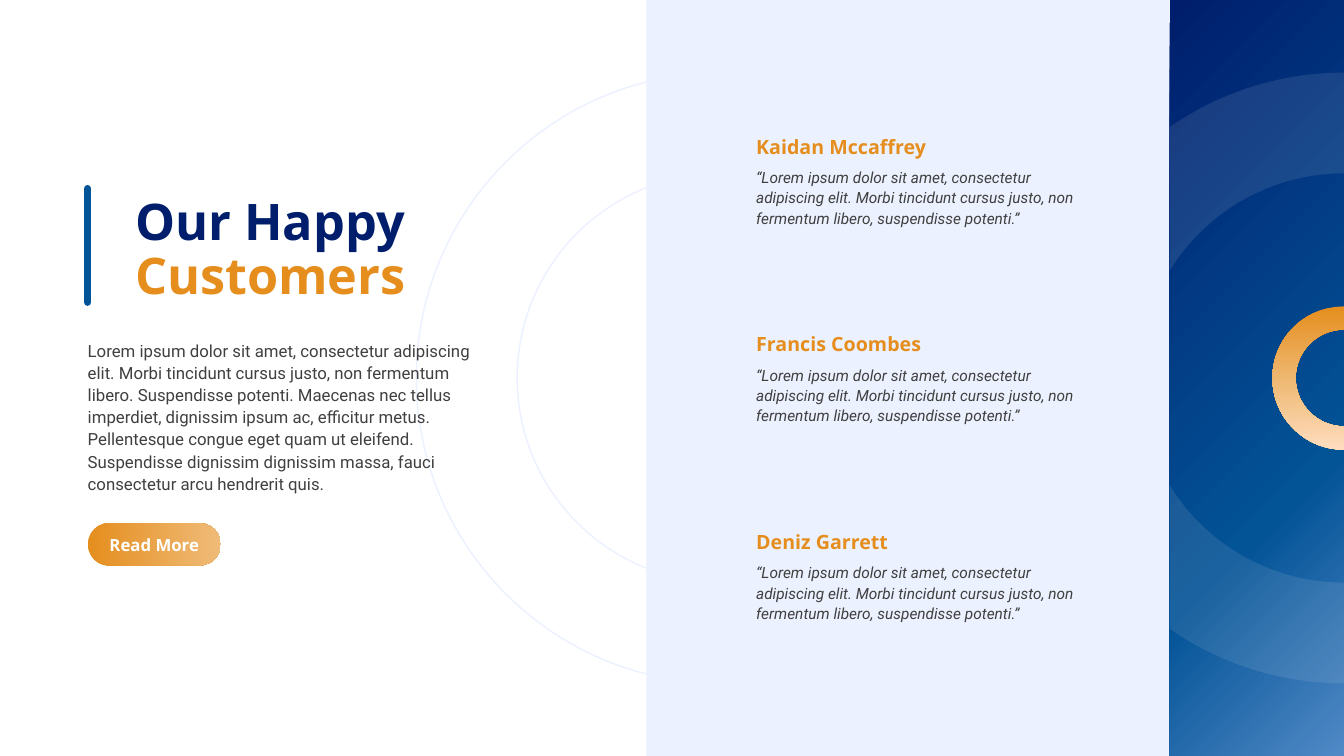
from dataclasses import dataclass
from math import acos, cos, pi, sin, tan

from lxml import etree
from pptx import Presentation
from pptx.dml.color import RGBColor
from pptx.enum.shapes import MSO_CONNECTOR, MSO_SHAPE
from pptx.enum.text import MSO_ANCHOR, MSO_AUTO_SIZE, PP_ALIGN
from pptx.oxml.ns import qn
from pptx.util import Inches, Pt

TOP, MIDDLE, BOTTOM = MSO_ANCHOR.TOP, MSO_ANCHOR.MIDDLE, MSO_ANCHOR.BOTTOM
LEFT, CENTER = PP_ALIGN.LEFT, PP_ALIGN.CENTER


@dataclass(frozen=True)
class Theme:
    navy: str = "001E6C"
    blue: str = "035397"
    sky: str = "5089C6"
    orange: str = "E58E1E"
    sand: str = "EFBB78"
    peach: str = "FFDDBF"
    pale: str = "ECF1FF"
    mist: str = "F2F2F2"
    ink: str = "404040"
    white: str = "FFFFFF"
    head: str = "Open Sans"
    text: str = "Roboto"
    title: int = 36
    name: int = 14
    body: int = 12
    quote: int = 11


theme = Theme()
rgb = RGBColor.from_string


def write(shape, text, face, size, color, anchor=TOP, align=LEFT, spacing=1.0):
    """Fill the shape's frame with one paragraph, without margins."""
    frame = shape.text_frame
    frame.auto_size = MSO_AUTO_SIZE.NONE
    frame.word_wrap = True
    frame.vertical_anchor = anchor
    frame.margin_left = frame.margin_right = 0
    frame.margin_top = frame.margin_bottom = 0
    para = frame.paragraphs[0]
    para.text = text
    para.alignment = align
    para.line_spacing = spacing
    font = para.font
    font.name, font.size, font.color.rgb = face, Pt(size), rgb(color)
    font.bold = face == theme.head
    return para


def trace(hub, contours):
    """Draw closed contours of (radius, start, end) arcs around (hub, HUB_Y).

    Angles run from the hub's left side, upward; each arc is made of Béziers.
    """
    pen, curved = None, []
    for arcs in contours:
        points = []
        for radius, start, end in arcs:
            count = max(1, round(abs(end - start) / (pi / 2)))
            step = (end - start) / count
            pull = 4 / 3 * tan(step / 4)
            spots = [(start, 0)]
            for i in range(count):
                a = start + i * step
                spots += [(a, pull), (a + step, -pull), (a + step, 0)]
            points += [(Inches(hub + radius * (k * sin(a) - cos(a))),
                        Inches(HUB_Y - radius * (sin(a) + k * cos(a))))
                       for a, k in spots]
            curved += [False] + [True] * (3 * count)
        if pen is None:
            pen = shapes.build_freeform(*points[0])
        else:
            pen.move_to(*points[0])
        pen.add_line_segments(points[1:])
    shape = pen.convert_to_shape()
    outline = next(shape._element.iter(qn("a:path")))
    steps = [s for s in outline if s.tag != qn("a:close")]
    curve = None
    for step, bent in zip(steps, curved):
        if not bent:
            continue
        if curve is None or len(curve) == 3:
            curve = etree.Element(qn("a:cubicBezTo"))
            step.addprevious(curve)
        curve.append(step[0])
        outline.remove(step)
    shape.shadow.inherit = False
    return shape


deck = Presentation()
deck.slide_width, deck.slide_height = Inches(13.33), Inches(7.5)
slide = deck.slides.add_slide(deck.slide_layouts[5])
shapes = slide.shapes

# Left side: rings, title, bar, text and button
HUB_X, HUB_Y, OUTER, INNER = 13.33, 3.75, 3.03, 2.03
rings = trace(7.16, [[(INNER, 0, 2 * pi)], [(OUTER, 0, 2 * pi)]])
rings.fill.background()
rings.line.color.rgb = rgb(theme.pale)
rings.line.width = Pt(1)

title = shapes.title
title.left, title.top = Inches(1.34), Inches(1.94)
title.width, title.height = Inches(3.38), Inches(1.1)
para = write(title, "Our Happy\vCustomers", theme.head, theme.title,
             theme.navy, MIDDLE, spacing=0.9)
title.text_frame.word_wrap = False
para.runs[1].font.color.rgb = rgb(theme.orange)

bar = shapes.add_connector(MSO_CONNECTOR.STRAIGHT, Inches(0.87), Inches(1.87),
                           Inches(0.87), Inches(3))
bar.line.color.rgb = rgb(theme.blue)
bar.line.width = Pt(5)
bar.line._get_or_add_ln().set("cap", "rnd")
etree.SubElement(bar._element.spPr, qn("a:effectLst"))

intro = shapes.add_textbox(Inches(0.87), Inches(3.36), Inches(3.85), Inches(1.57))
write(intro, "Lorem ipsum dolor sit amet, consectetur adipiscing elit. Morbi "
      "tincidunt cursus justo, non fermentum libero. Suspendisse potenti. "
      "Maecenas nec tellus imperdiet, dignissim ipsum ac, efficitur metus. "
      "Pellentesque congue eget quam ut eleifend. Suspendisse dignissim "
      "dignissim massa, fauci consectetur arcu hendrerit quis.",
      theme.text, theme.body, theme.ink, spacing=1.1)

button = shapes.add_shape(MSO_SHAPE.ROUNDED_RECTANGLE, Inches(0.87), Inches(5.19),
                          Inches(1.32), Inches(0.42))
button.adjustments[0] = 0.5
write(button, "Read More", theme.head, theme.body, theme.white, MIDDLE, CENTER)

# Middle panel with quotes
panel = shapes.add_shape(MSO_SHAPE.RECTANGLE, Inches(6.41), 0,
                         Inches(5.19), Inches(7.5))
panel.shadow.inherit = False
panel.fill.solid()
panel.fill.fore_color.rgb = rgb(theme.pale)
panel.line.fill.background()

QUOTE = ("“Lorem ipsum dolor sit amet, consectetur adipiscing elit. Morbi "
         "tincidunt cursus justo, non fermentum libero, suspendisse potenti.”")
for i, name in enumerate(["Kaidan Mccaffrey", "Francis Coombes", "Deniz Garrett"]):
    top = 1.32 + 1.96 * i
    quote = shapes.add_textbox(Inches(7.5), Inches(top + 0.33),
                               Inches(3.16), Inches(0.62))
    para = write(quote, QUOTE, theme.text, theme.quote, theme.ink, spacing=1.1)
    para.font.italic = True
    label = shapes.add_textbox(Inches(7.5), Inches(top), Inches(3.16), Inches(0.25))
    write(label, name, theme.head, theme.name, theme.orange, BOTTOM)

# Right strip with ring bands cut off at its left edge
WIDTH = 1.73
strip = shapes.add_shape(MSO_SHAPE.RECTANGLE, Inches(HUB_X - WIDTH), 0,
                         Inches(WIDTH), Inches(7.5))
strip.shadow.inherit = False

far, near, half = acos(WIDTH / OUTER), acos(WIDTH / INNER), pi / 2
bands = trace(HUB_X, [[(OUTER, side * far, side * half), (INNER, side * half, side * near)]
                      for side in (-1, 1)])
bands.line.fill.background()
bands.fill.solid()
bands.fill.fore_color.rgb = rgb(theme.mist)
tint = bands._element.spPr.find(qn("a:solidFill"))[0]
etree.SubElement(tint, qn("a:alpha"), val="10000")
hoop = trace(HUB_X, [[(0.71, half, -half), (0.48, -half, half)]])

blends = [
    (button, 0, [(0, theme.orange), (100, theme.sand)]),
    (strip, 45, [(0, theme.navy), (67, theme.blue), (100, theme.sky)]),
    (hoop, 90, [(0, theme.orange), (55, theme.sand), (100, theme.peach)]),
]
for shape, angle, stops in blends:
    shape.shadow.inherit = False
    shape.line.fill.background()
    shape.fill.gradient()
    shape.fill.gradient_angle = -angle % 360
    ramp = shape._element.spPr.find(qn("a:gradFill")).find(qn("a:gsLst"))
    for old in list(ramp):
        ramp.remove(old)
    for place, color in stops:
        stop = etree.SubElement(ramp, qn("a:gs"), pos=str(place * 1000))
        etree.SubElement(stop, qn("a:srgbClr"), val=color)

deck.save("out.pptx")
